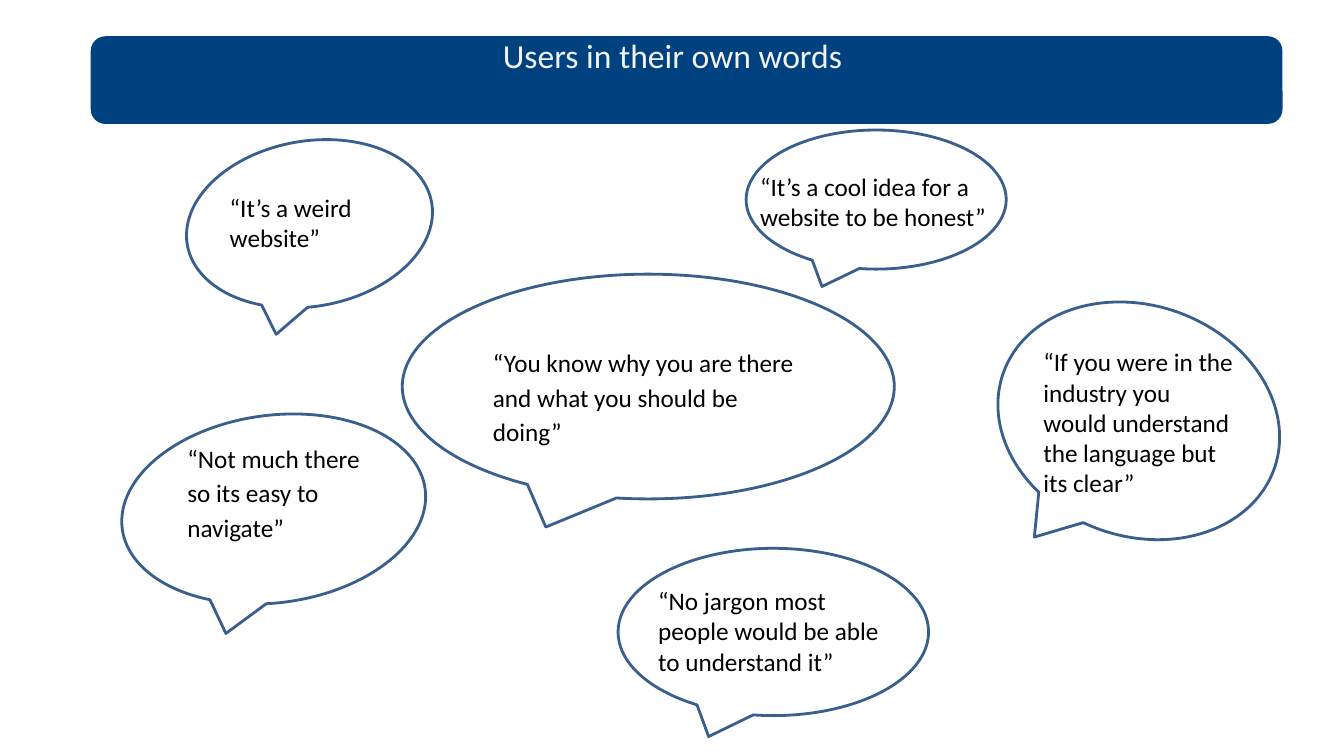
import pptx
import pptx.util
import pptx.dml.color
import pptx.enum.shapes
import pptx.enum.text
from dataclasses import dataclass

Inches = pptx.util.Inches
Pt = pptx.util.Pt
SHAPE = pptx.enum.shapes.MSO_SHAPE
ALIGN = pptx.enum.text.PP_ALIGN
ANCHOR = pptx.enum.text.MSO_ANCHOR
AUTO = pptx.enum.text.MSO_AUTO_SIZE


@dataclass(frozen=True)
class Theme:
    font: str = "Calibri"
    banner: str = "00427F"
    outline: str = "3A5F8C"
    title: str = "F2F2F2"
    text: str = "000000"
    title_size: int = 24
    quote_size: int = 18
    line_width: int = 2


THEME = Theme()
TITLE = "Users in their own words"
TITLE_BOX = (0.67, 0.3, 12, 1.25)
BANNER_BOX = (0.9, 0.36, 11.82, 0.87)
LOOSE = {"line_spacing": 1.15, "space_after": 10}

# bubble box, rotation, text box, quote, paragraph format
QUOTES = [
    ((1.2, 4.12, 3.03, 1.86), -7.5, (1.76, 4.3, 2.18, 1.15),
     "“Not much there so its easy to navigate”", LOOSE),
    ((6.13, 5.44, 3.08, 1.66), 0, (6.43, 5.76, 2.46, 1.01),
     "“No jargon most people would be able to understand it”", {}),
    ((9.87, 3.03, 2.85, 2.29), 19.4, (10.25, 3.39, 2.14, 1.62),
     "“If you were in the industry you would understand the language but its clear”", {}),
    ((3.99, 2.72, 4.88, 2.23), 0, (4.79, 3.35, 3.27, 1.15),
     "“You know why you are there and what you should be doing”", LOOSE),
    ((1.84, 1.4, 2.46, 1.64), -9.8, (2.18, 1.86, 1.99, 0.71),
     "“It’s a weird website”", {}),
    ((7.4, 1.29, 2.58, 1.38), 0, (7.44, 1.65, 2.5, 1.01),
     "“It’s a cool idea for a website to be honest”", {}),
]


def rgb(value):
    return pptx.dml.color.RGBColor.from_string(value)


def lengths(box):
    return [Inches(v) for v in box]


def write(tf, text, size=THEME.quote_size, color=THEME.text, align=ALIGN.LEFT,
          line_spacing=1.0, space_after=0):
    tf.word_wrap = True
    tf.vertical_anchor = ANCHOR.TOP
    p = tf.paragraphs[0]
    p.alignment = align
    p.line_spacing = line_spacing
    p.space_before = Pt(0)
    p.space_after = Pt(space_after)
    r = p.add_run()
    r.text = text
    r.font.name = THEME.font
    r.font.size = Pt(size)
    r.font.color.rgb = rgb(color)


def add_shape(s, kind, box, fill=None, line=None, rotation=0):
    sp = s.shapes.add_shape(kind, *lengths(box))
    sp.shadow.inherit = False
    sp.rotation = rotation
    if fill:
        sp.fill.solid()
        sp.fill.fore_color.rgb = rgb(fill)
    else:
        sp.fill.background()
    if line:
        sp.line.color.rgb = rgb(line)
        sp.line.width = Pt(THEME.line_width)
    else:
        sp.line.fill.background()
    return sp


def add_title(s):
    title = s.shapes.title
    title.left, title.top, title.width, title.height = lengths(TITLE_BOX)
    title.text_frame.auto_size = AUTO.NONE
    write(title.text_frame, TITLE, size=THEME.title_size, color=THEME.title,
          align=ALIGN.CENTER)
    s.shapes.element.append(title.element)


def main():
    prs = pptx.Presentation()
    prs.slide_width, prs.slide_height = Inches(13.33), Inches(7.5)
    s = prs.slides.add_slide(prs.slide_layouts.get_by_name("Title Only"))
    add_shape(s, SHAPE.ROUNDED_RECTANGLE, BANNER_BOX, fill=THEME.banner)
    for bubble, rotation, _, _, _ in QUOTES:
        add_shape(s, SHAPE.OVAL_CALLOUT, bubble, line=THEME.outline, rotation=rotation)
    for _, _, box, quote, style in QUOTES:
        tf = s.shapes.add_textbox(*lengths(box)).text_frame
        tf.auto_size = AUTO.SHAPE_TO_FIT_TEXT
        write(tf, quote, **style)
    add_title(s)
    prs.save("out.pptx")


if __name__ == "__main__":
    main()
